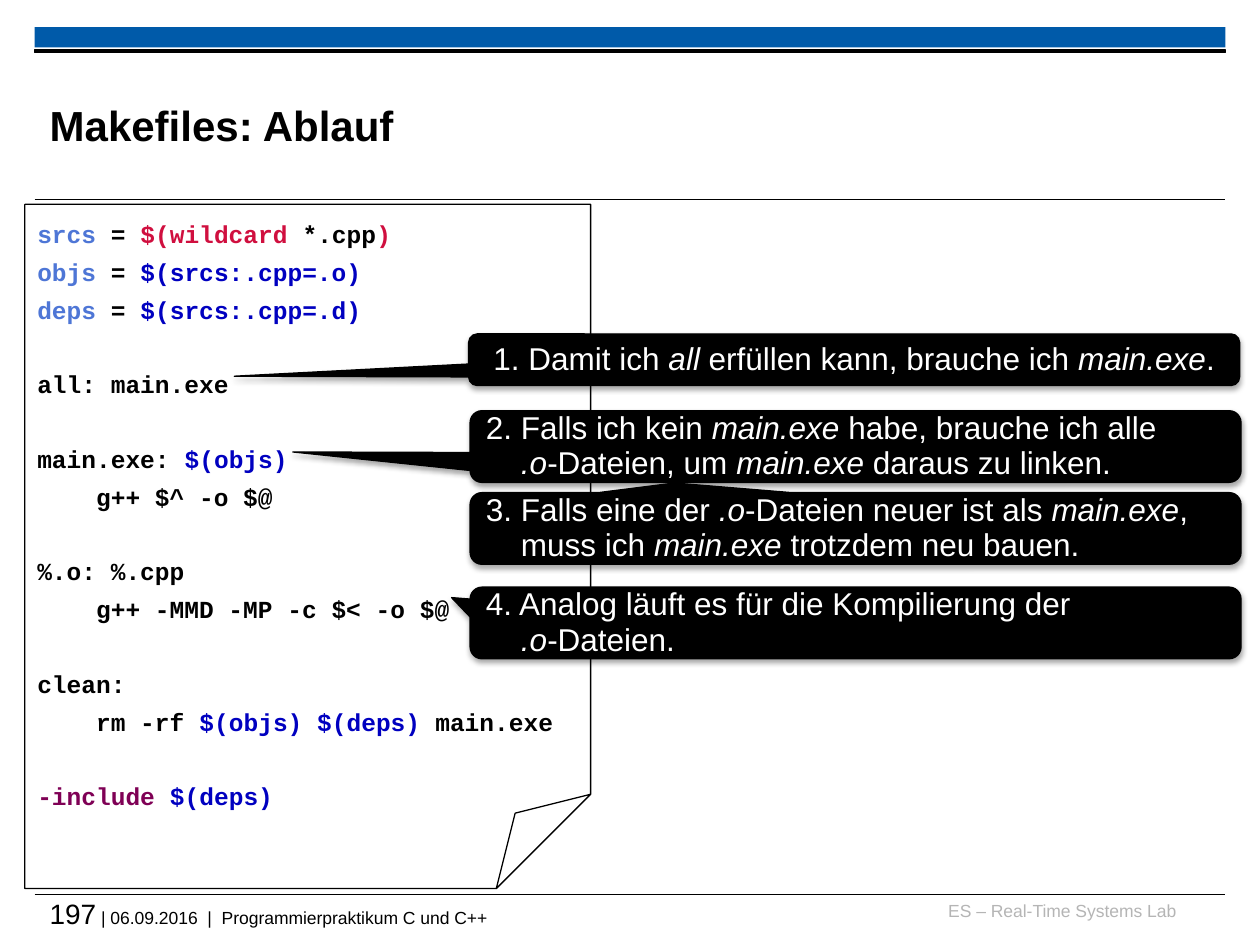
import pptx
import pptx.util
import pptx.dml.color
import pptx.enum.shapes
import pptx.enum.text
import lxml.etree
from dataclasses import dataclass

Pt = pptx.util.Pt
SHAPE = pptx.enum.shapes.MSO_SHAPE
ALIGN = pptx.enum.text.PP_ALIGN
ANCHOR = pptx.enum.text.MSO_ANCHOR
NS = "http://schemas.openxmlformats.org/drawingml/2006/main"


@dataclass(frozen=True)
class Theme:
    sans: str = "Arial"
    mono: str = "Courier New"
    ink: str = "000000"
    paper: str = "FFFFFF"
    bar: str = "005AA9"
    grey: str = "B5B5B5"
    name: str = "4E76D6"
    func: str = "D00F3F"
    ref: str = "0000C0"
    key: str = "7F0055"
    title: int = 24
    call: int = 18
    page: int = 16
    code: int = 14
    foot: int = 10


T = Theme()

# Each code line is a list of (text, colour); an empty list is a blank line
CODE = [
    [("srcs ", T.name), ("= ", T.ink), ("$(wildcard", T.func),
     (" *.cpp", T.ink), (")", T.func)],
    [("objs ", T.name), ("= ", T.ink), ("$(srcs:.cpp=.o)", T.ref)],
    [("deps ", T.name), ("= ", T.ink), ("$(srcs:.cpp=.d)", T.ref)],
    [],
    [("all: main.exe", T.ink)],
    [],
    [("main.exe: ", T.ink), ("$(objs)", T.ref)],
    [("    g++ $^ -o $@", T.ink)],
    [],
    [("%.o: %.cpp", T.ink)],
    [("    g++ -MMD -MP -c $< -o $@", T.ink)],
    [],
    [("clean:", T.ink)],
    [("    rm -rf ", T.ink), ("$(objs) $(deps)", T.ref), (" main.exe", T.ink)],
    [],
    [("-include ", T.key), ("$(deps)", T.ref)],
]

# Box, pointer tip and lines of each callout; *...* is italic
CALLS = [
    ((267.8, 190.8, 440.6, 29.5), (-0.804, 0.32),
     ["1. Damit ich *all* erfüllen kann, brauche ich *main.exe*."]),
    ((268.6, 234.7, 440.6, 41), (-0.73, 0.076),
     ["2. Falls ich kein *main.exe* habe, brauche ich alle",
      "*.o*-Dateien, um *main.exe* daraus zu linken."]),
    ((268.6, 281.5, 440.6, 41), (-0.235, -0.634),
     ["3. Falls eine der *.o*-Dateien neuer ist als *main.exe*,",
      "muss ich *main.exe* trotzdem neu bauen."]),
    ((268.6, 335.5, 440.6, 41), (-0.524, -0.353),
     ["4. Analog läuft es für die Kompilierung der", "*.o*-Dateien."]),
]


def tint(hue):
    return pptx.dml.color.RGBColor.from_string(hue)


def add_run(para, text, size, hue, face=T.sans, bold=False, slant=False):
    run = para.add_run()
    run.text = text
    font = run.font
    font.name, font.size, font.bold, font.italic = face, Pt(size), bold, slant
    font.color.rgb = tint(hue)


def add_text(slide, box, inset=0):
    frame = slide.shapes.add_textbox(*map(Pt, box)).text_frame
    frame.word_wrap = True
    frame.margin_left = frame.margin_right = Pt(inset)
    frame.margin_top = frame.margin_bottom = Pt(inset)
    return frame


def add_form(slide, kind, box, fill=None, line=None):
    form = slide.shapes.add_shape(kind, *map(Pt, box))
    form.shadow.inherit = False
    if fill:
        form.fill.solid()
        form.fill.fore_color.rgb = tint(fill)
    else:
        form.fill.background()
    if line:
        form.line.color.rgb = tint(line)
        form.line.width = Pt(0.75)
    else:
        form.line.fill.background()
    return form


def add_rule(slide, left, top, width):
    rule = slide.shapes.add_connector(
        pptx.enum.shapes.MSO_CONNECTOR.STRAIGHT,
        Pt(left), Pt(top), Pt(left + width), Pt(top))
    rule.line.color.rgb = tint(T.ink)
    rule.line.width = Pt(0.6)
    lxml.etree.SubElement(rule._element.spPr, f"{{{NS}}}effectLst")


def add_head(slide, box):
    left, top, width, high = box
    add_form(slide, SHAPE.RECTANGLE, (left, top, width, 11.5), T.bar)
    add_form(slide, SHAPE.RECTANGLE, (left, top + 13, width, 1.4), T.ink, T.ink)
    add_rule(slide, left, top + high, width)
    frame = add_text(slide, (left + 8.6, top + 22.4, 541.4, 66.2))
    frame.vertical_anchor = ANCHOR.MIDDLE
    add_run(frame.paragraphs[0], "Makefiles: Ablauf", T.title, T.ink, bold=True)


def add_foot(slide, box):
    left, top, width, high = box
    add_rule(slide, left, top, width)
    lab = add_text(slide, (left + 510.5, top + 2.9, 141.8, 18)).paragraphs[0]
    lab.alignment = ALIGN.RIGHT
    add_run(lab, "ES – Real-Time Systems Lab", T.foot, T.grey)
    info = add_text(slide, (left + 8.6, top + 1.4, width - 8.6, high - 1.4))
    para = info.paragraphs[0]
    add_run(para, "197", T.page, T.ink)
    add_run(para, " | 06.09.2016  |  Programmierpraktikum C und C++",
            T.foot, T.ink)


def add_code(slide, box):
    left, top, width, high = box
    add_form(slide, SHAPE.FOLDED_CORNER, box, line=T.ink)
    frame = add_text(slide, (left, top, width - 12.2, high), 7.2)
    gap, pitch = 3.77, 20.74
    para, blank = None, 0
    for row in CODE:
        if not row:
            blank += 1
            continue
        if para is None:
            para = frame.paragraphs[0]
        else:
            para = frame.add_paragraph()
            para.space_before = Pt(gap + blank * pitch)
        para.line_spacing = 1.07
        blank = 0
        for text, hue in row:
            add_run(para, text, T.code, hue, T.mono, bold=True)


def add_call(slide, box, tip, lines):
    form = add_form(slide, SHAPE.ROUNDED_RECTANGULAR_CALLOUT, box, T.ink, T.ink)
    form.adjustments[0], form.adjustments[1] = tip
    # Soft shadow below
    glow = form._element.spPr.find(f"{{{NS}}}effectLst")
    glow.append(lxml.etree.fromstring(
        f'<a:outerShdw xmlns:a="{NS}" blurRad="{Pt(3.1)}" dist="{Pt(1.8)}" '
        f'dir="5400000" rotWithShape="0"><a:srgbClr val="{T.ink}">'
        '<a:alpha val="35000"/></a:srgbClr></a:outerShdw>'))
    frame = form.text_frame
    frame.word_wrap = True
    frame.vertical_anchor = ANCHOR.MIDDLE
    para = frame.paragraphs[0]
    para.line_spacing = 0.93
    para.alignment = ALIGN.LEFT if len(lines) > 1 else ALIGN.CENTER
    # Later lines hang under the text after the number
    if len(lines) > 1:
        props = para._p.get_or_add_pPr()
        props.set("marL", str(Pt(20)))
        props.set("indent", str(-Pt(20)))
    for row, line in enumerate(lines):
        if row:
            para.add_line_break()
        for part, text in enumerate(line.split("*")):
            if text:
                add_run(para, text, T.call, T.paper, slant=part % 2 == 1)


def main():
    deck = pptx.Presentation()
    deck.slide_width, deck.slide_height = Pt(720), Pt(540)
    slide = deck.slides.add_slide(deck.slide_layouts[6])
    add_head(slide, (19.8, 15.6, 680.4, 98.6))
    add_foot(slide, (19.8, 511.2, 680.4, 25.2))
    add_code(slide, (14.2, 116.8, 323.3, 391))
    for box, tip, lines in CALLS:
        add_call(slide, box, tip, lines)
    deck.save("out.pptx")


if __name__ == "__main__":
    main()
